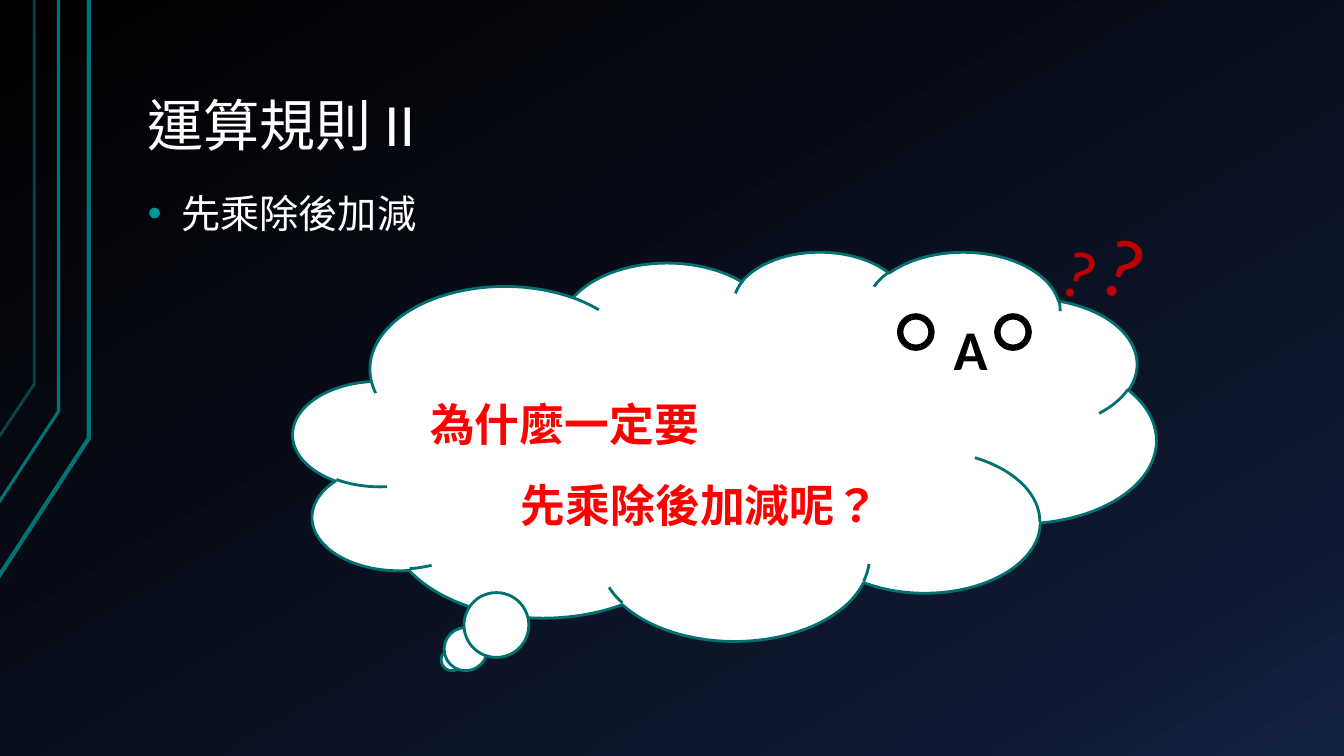
from dataclasses import dataclass
from typing import Optional

import pptx
import pptx.dml.color
import pptx.enum.dml
import pptx.enum.lang
import pptx.enum.shapes
import pptx.enum.text
import pptx.oxml
import pptx.oxml.ns
import pptx.util
from lxml import etree

Pt = pptx.util.Pt
Shapes = pptx.enum.shapes.MSO_SHAPE
Anchor = pptx.enum.text.MSO_ANCHOR
qn = pptx.oxml.ns.qn


@dataclass(frozen=True)
class Theme:
    # Colours
    night: tuple = ((0, "000000"), (85, "0F1931"), (100, "142242"))
    circuit: str = "007373"
    outline: str = "007171"
    bullet: str = "009999"
    white: str = "FFFFFF"
    black: str = "000000"
    question: str = "FF0000"
    mark: str = "C00000"
    # Fonts and type sizes
    main: str = "Arial"
    bubble: str = "Calibri"
    title_size: float = 40
    body_size: float = 28
    question_size: float = 32


THEME = Theme()


@dataclass(frozen=True)
class Circuit:
    x: float
    knee: float
    end: float
    width: float
    opacity: int


@dataclass(frozen=True)
class Blob:
    kind: Shapes
    box: tuple
    line: str
    width: float


@dataclass(frozen=True)
class Mark:
    box: tuple
    size: float


CIRCUITS = (
    Circuit(63.4, 313.2, 412, 3, 100),
    Circuit(41.8, 293.8, 359.3, 2.25, 100),
    Circuit(24.5, 274.3, 312.5, 2, 60),
)
CLOUD = Blob(Shapes.CLOUD_CALLOUT, (209.5, 179.3, 616.3, 277.9), THEME.outline, 2)
EYES = tuple(Blob(Shapes.OVAL, (x, 226, 22.4, 22.4), THEME.black, 4.5)
             for x in (643, 712.4))
MARKS = (Mark((753.1, 162, 36.7, 65.5), 48), Mark((781.9, 149.8, 42.5, 79.9), 60))


def rgb(value: str) -> pptx.dml.color.RGBColor:
    return pptx.dml.color.RGBColor.from_string(value)


def place(shape, box: tuple) -> None:
    shape.left, shape.top, shape.width, shape.height = map(Pt, box)


def write_text(frame, text: str, *, size: float, color: str, font: str = THEME.main,
               bold: bool = False, spacing: float = 1.0, before: float = 0,
               indents: tuple = (0,), hanging: float = 0, bullet: Optional[str] = None,
               inset: tuple = (7.2, 3.6), anchor: Anchor = Anchor.TOP,
               wrap: bool = True) -> None:
    """Fill a frame, one paragraph per line of text, with one left indent each."""
    frame.word_wrap = wrap
    frame.auto_size = pptx.enum.text.MSO_AUTO_SIZE.NONE
    frame.vertical_anchor = anchor
    frame.margin_left = frame.margin_right = Pt(inset[0])
    frame.margin_top = frame.margin_bottom = Pt(inset[1])
    frame.text = text
    for paragraph, indent in zip(frame.paragraphs, indents):
        paragraph.alignment = pptx.enum.text.PP_ALIGN.LEFT
        paragraph.line_spacing = spacing
        paragraph.space_before = Pt(before)
        letters = paragraph.runs[0].font
        letters.name, letters.size, letters.bold = font, Pt(size), bold
        letters.color.rgb = rgb(color)
        letters.language_id = pptx.enum.lang.MSO_LANGUAGE_ID.TRADITIONAL_CHINESE
        properties = paragraph._p.get_or_add_pPr()
        properties.set("marL", str(int(Pt(indent))))
        properties.set("indent", str(int(Pt(-hanging))))
        if bullet:
            tint = etree.SubElement(properties, qn("a:buClr"))
            etree.SubElement(tint, qn("a:srgbClr"), val=THEME.bullet)
            etree.SubElement(properties, qn("a:buFont"), typeface=font)
            etree.SubElement(properties, qn("a:buChar"), char=bullet)


def add_text(slide, text: str, box: tuple, rotation: float = 0, **style) -> None:
    label = slide.shapes.add_textbox(*map(Pt, box))
    label.rotation = rotation
    write_text(label.text_frame, text, **style)


def paint_background(slide) -> None:
    fill = slide.background.fill
    fill.gradient()
    fill.gradient_angle = 300
    stops = next(slide._element.iter(qn("a:gsLst")))
    for stop in list(stops):
        stops.remove(stop)
    for position, color in THEME.night:
        stop = etree.SubElement(stops, qn("a:gs"), pos=str(position * 1000))
        etree.SubElement(stop, qn("a:srgbClr"), val=color)


def add_circuit(slide, circuit: Circuit) -> None:
    builder = slide.shapes.build_freeform(Pt(-1), Pt(circuit.end))
    builder.add_line_segments([(Pt(circuit.x), Pt(circuit.knee)), (Pt(circuit.x), 0)],
                              close=False)
    trace = builder.convert_to_shape()
    trace.shadow.inherit = False
    trace.fill.background()
    trace.line.color.rgb = rgb(THEME.circuit)
    trace.line.width = Pt(circuit.width)
    if circuit.opacity < 100:
        tint = next(trace.line._ln.iter(qn("a:srgbClr")))
        etree.SubElement(tint, qn("a:alpha"), val=str(circuit.opacity * 1000))


def add_blob(slide, blob: Blob):
    shape = slide.shapes.add_shape(blob.kind, *map(Pt, blob.box))
    shape.shadow.inherit = False
    shape.fill.solid()
    shape.fill.fore_color.rgb = rgb(THEME.white)
    shape.line.color.rgb = rgb(blob.line)
    shape.line.width = Pt(blob.width)
    return shape


deck = pptx.Presentation()
deck.slide_width, deck.slide_height = Pt(960), Pt(540)
slide = deck.slides.add_slide(deck.slide_layouts[5])

# Night background with circuit lines
paint_background(slide)
for circuit in CIRCUITS:
    add_circuit(slide, circuit)

# Title and rule
heading = slide.shapes.title
place(heading, (96, 21.6, 816, 96.5))
write_text(heading.text_frame, "運算規則 II", size=THEME.title_size, color=THEME.white,
           spacing=0.9, inset=(9.6, 4.8), anchor=Anchor.BOTTOM)
add_text(slide, "先乘除後加減", (96, 134, 247.7, 57), size=THEME.body_size,
         color=THEME.white, spacing=0.9, before=16, indents=(24,), hanging=24,
         bullet="•", inset=(9.6, 4.8))

# Thinking cloud with its face
cloud = add_blob(slide, CLOUD)
cloud.adjustments[0], cloud.adjustments[1] = -0.316, 0.551
for eye in EYES:
    add_blob(slide, eye)
add_text(slide, "A", (674, 221, 39.6, 55.4), size=THEME.title_size,
         color=THEME.black, font=THEME.bubble, bold=True)

# Question in the cloud
add_text(slide, "為什麼一定要\n先乘除後加減呢？", (293, 260.6, 346.3, 123.8),
         size=THEME.question_size, color=THEME.question, font=THEME.bubble,
         bold=True, spacing=1.5, indents=(7.2, 72))

# Tilted question marks
for mark in MARKS:
    add_text(slide, "?", mark.box, rotation=20.4, size=mark.size, color=THEME.mark,
             font=THEME.bubble, wrap=False)

deck.save("out.pptx")
